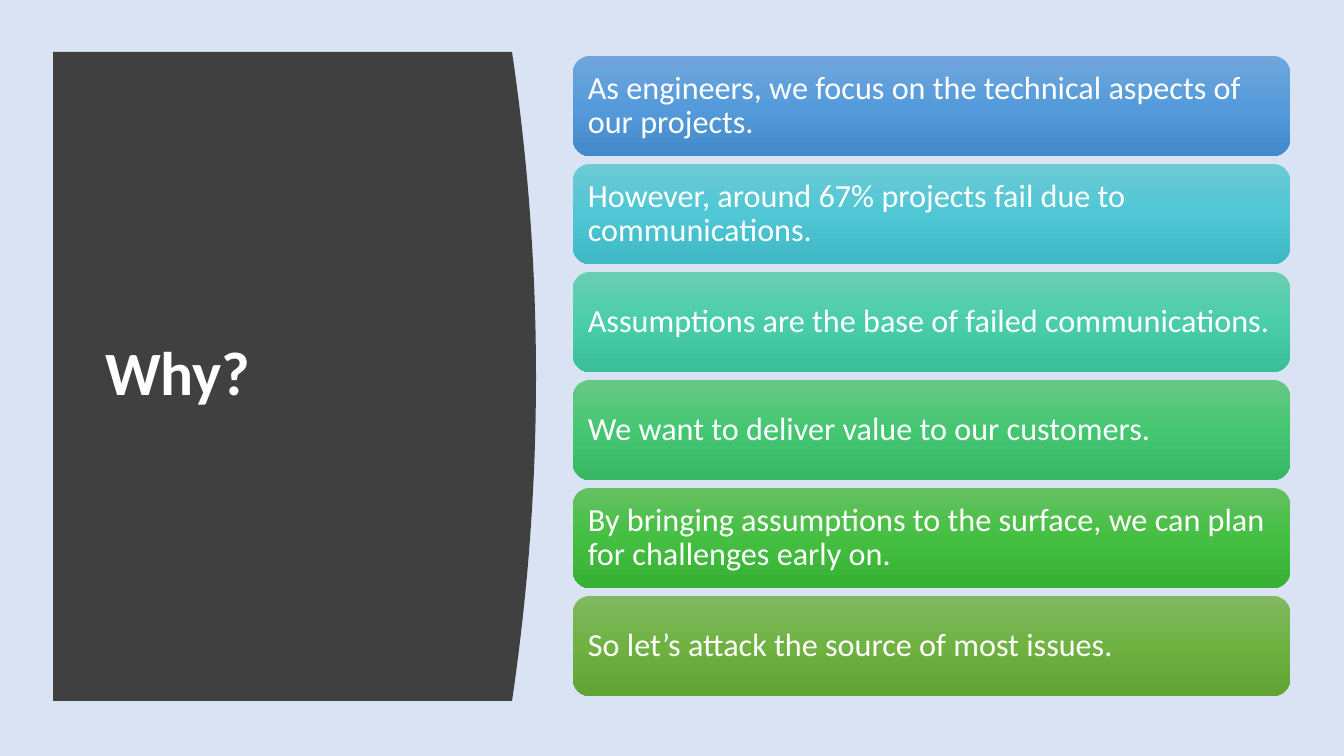
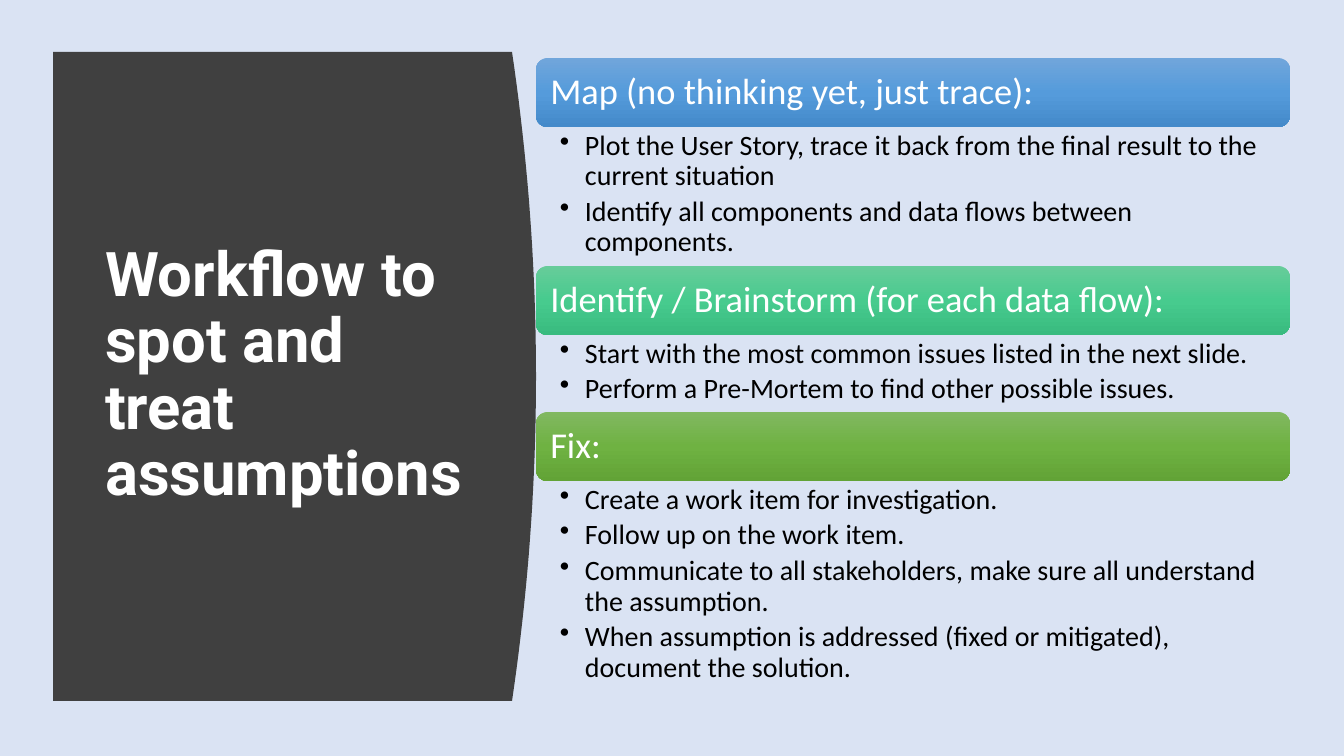
import copy

import pptx
import pptx.dml.color
import pptx.enum.shapes
import pptx.enum.text
import pptx.oxml.ns
import pptx.util

PIXEL = 12192000 / 1344
BODY_FONT = "Calibri"
COLOURS = {"page": "DAE3F3", "panel": "404040", "light": "FFFFFF", "dark": "000000"}
GRADIENTS = {
    "blue": ("71A6DB", "559BDB", "448ACA"),
    "cyan": ("6DCAD5", "4FC7D5", "3FB7C4"),
    "teal": ("69CFB1", "4ACEAA", "3BBE9A"),
    "mint": ("67CC9A", "47CB8E", "39BB7F"),
    "emerald": ("66C885", "45C772", "37B764"),
    "green": ("64C162", "44BF41", "37B034"),
    "olive": ("81B861", "6FB242", "62A336"),
}
REASONS = [
    ("blue", "As engineers, we focus on the technical aspects of our projects."),
    ("cyan", "However, around 67% projects fail due to communications."),
    ("teal", "Assumptions are the base of failed communications."),
    ("emerald", "We want to deliver value to our customers."),
    ("green", "By bringing assumptions to the surface, we can plan for challenges early on."),
    ("olive", "So let\u2019s attack the source of most issues."),
]
STEPS = [
    ("blue", "Map (no thinking yet, just trace):", 139, [
        "Plot the User Story, trace it back from the final result to the current situation",
        "Identify all components and data flows between components.",
    ]),
    ("mint", "Identify / Brainstorm (for each data flow):", 77, [
        "Start with the most common issues listed in the next slide.",
        "Perform a Pre-Mortem to find other possible issues.",
    ]),
    ("olive", "Fix:", 214, [
        "Create a work item for investigation.",
        "Follow up on the work item.",
        "Communicate to all stakeholders, make sure all understand the assumption.",
        "When assumption is addressed (fixed or mitigated), document the solution.",
    ]),
]


def px(length):
    return pptx.util.Emu(round(length * PIXEL))


def rgb(value):
    return pptx.dml.color.RGBColor.from_string(value)


def set_frame(frame, insets, anchor):
    frame.word_wrap = True
    frame.vertical_anchor = anchor
    left, top, right, bottom = insets
    frame.margin_left, frame.margin_top = px(left), px(top)
    frame.margin_right, frame.margin_bottom = px(right), px(bottom)


def add_span(para, text, size, colour, font=BODY_FONT, bold=False):
    para.alignment = pptx.enum.text.PP_ALIGN.LEFT
    para.line_spacing = 0.9
    span = para.add_run()
    span.text = text
    span.font.name = font
    span.font.size = pptx.util.Pt(size)
    span.font.bold = bold
    span.font.color.rgb = rgb(COLOURS[colour])


def add_panel(page):
    left, top, side, bottom, bulge, pieces = 53, 52, 512, 701, 24, 40
    edge = []
    for piece in range(pieces + 1):
        offset = 2 * piece / pieces - 1
        edge.append((px(side + bulge * (1 - offset ** 2)),
                     px(top + (bottom - top) * piece / pieces)))
    builder = page.shapes.build_freeform(px(left), px(top))
    builder.add_line_segments(edge + [(px(left), px(bottom))], close=True)
    panel = builder.convert_to_shape()
    panel.shadow.inherit = False
    panel.fill.solid()
    panel.fill.fore_color.rgb = rgb(COLOURS["panel"])
    panel.line.fill.background()


def add_title(page, text, font):
    box = page.shapes.add_textbox(px(95), px(112), px(378), px(528))
    set_frame(box.text_frame, (10, 5, 10, 5), pptx.enum.text.MSO_ANCHOR.MIDDLE)
    add_span(box.text_frame.paragraphs[0], text, 44, "light", font, True)


def add_page(deck, title, font):
    page = deck.slides.add_slide(deck.slide_layouts[6])
    add_panel(page)
    add_title(page, title, font)
    return page


def fill_gradient(shape, colours):
    shape.fill.gradient()
    shape.fill.gradient_angle = 270
    stop_list = shape._element.spPr.find(".//" + pptx.oxml.ns.qn("a:gsLst"))
    stop_list.insert(1, copy.deepcopy(stop_list[0]))
    for stop, colour, position in zip(shape.fill.gradient_stops, colours, (0, 0.5, 1)):
        stop.color.rgb = rgb(colour)
        stop.position = position


def add_bar(page, bounds, gradient, text, size, inset):
    bar = page.shapes.add_shape(
        pptx.enum.shapes.MSO_SHAPE.ROUNDED_RECTANGLE, *map(px, bounds))
    bar.shadow.inherit = False
    bar.line.fill.background()
    fill_gradient(bar, GRADIENTS[gradient])
    set_frame(bar.text_frame, (inset,) * 4, pptx.enum.text.MSO_ANCHOR.MIDDLE)
    add_span(bar.text_frame.paragraphs[0], text, size, "light")


def add_bullet(para):
    properties = para._p.get_or_add_pPr()
    properties.set("marL", str(px(25)))
    properties.set("indent", str(px(-25)))
    bullet = properties.makeelement(pptx.oxml.ns.qn("a:buChar"), {"char": "\u2022"})
    properties.append(bullet)


def add_bullets(page, bounds, items):
    box = page.shapes.add_textbox(*map(px, bounds))
    frame = box.text_frame
    set_frame(frame, (24, 4, 20, 4), pptx.enum.text.MSO_ANCHOR.TOP)
    for index, item in enumerate(items):
        para = frame.add_paragraph() if index else frame.paragraphs[0]
        add_span(para, item, 20, "dark")
        para.space_after = pptx.util.Pt(4)
        add_bullet(para)


def add_reasons(page):
    for index, (gradient, text) in enumerate(REASONS):
        add_bar(page, (573, 56 + 108 * index, 717, 100), gradient, text, 23, 10)


def add_steps(page):
    left, top, width, bar_height = 536, 58, 754, 69
    for gradient, heading, list_height, items in STEPS:
        add_bar(page, (left, top, width, bar_height), gradient, heading, 26, 11)
        top += bar_height
        add_bullets(page, (left, top, width, list_height), items)
        top += list_height


def main():
    deck = pptx.Presentation()
    deck.slide_width, deck.slide_height = px(1344), px(756)
    background = deck.slide_master.background.fill
    background.solid()
    background.fore_color.rgb = rgb(COLOURS["page"])
    add_reasons(add_page(deck, "Why?", BODY_FONT))
    add_steps(add_page(deck, "Workflow to spot and treat assumptions", "Roboto"))
    deck.save("out.pptx")


main()
